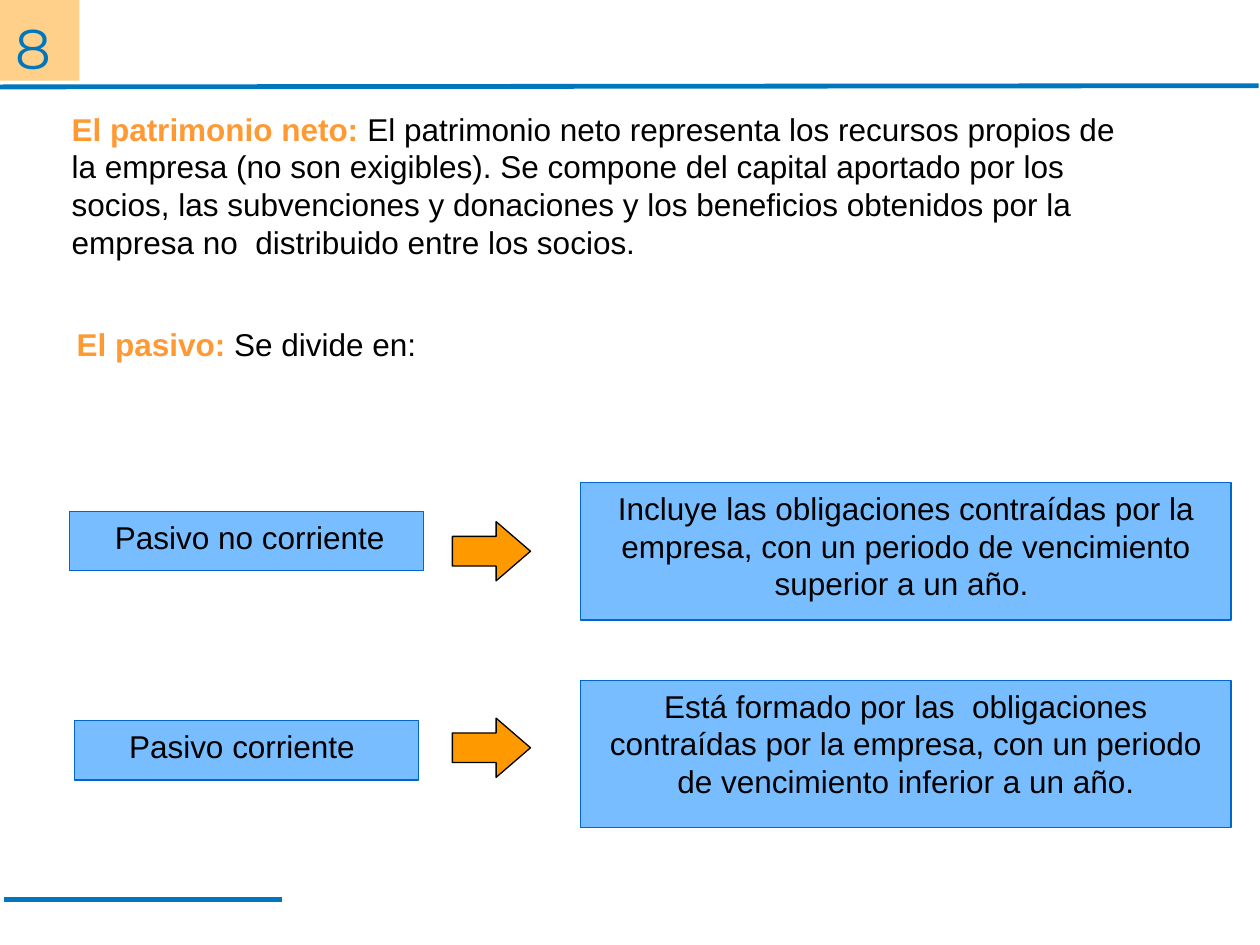
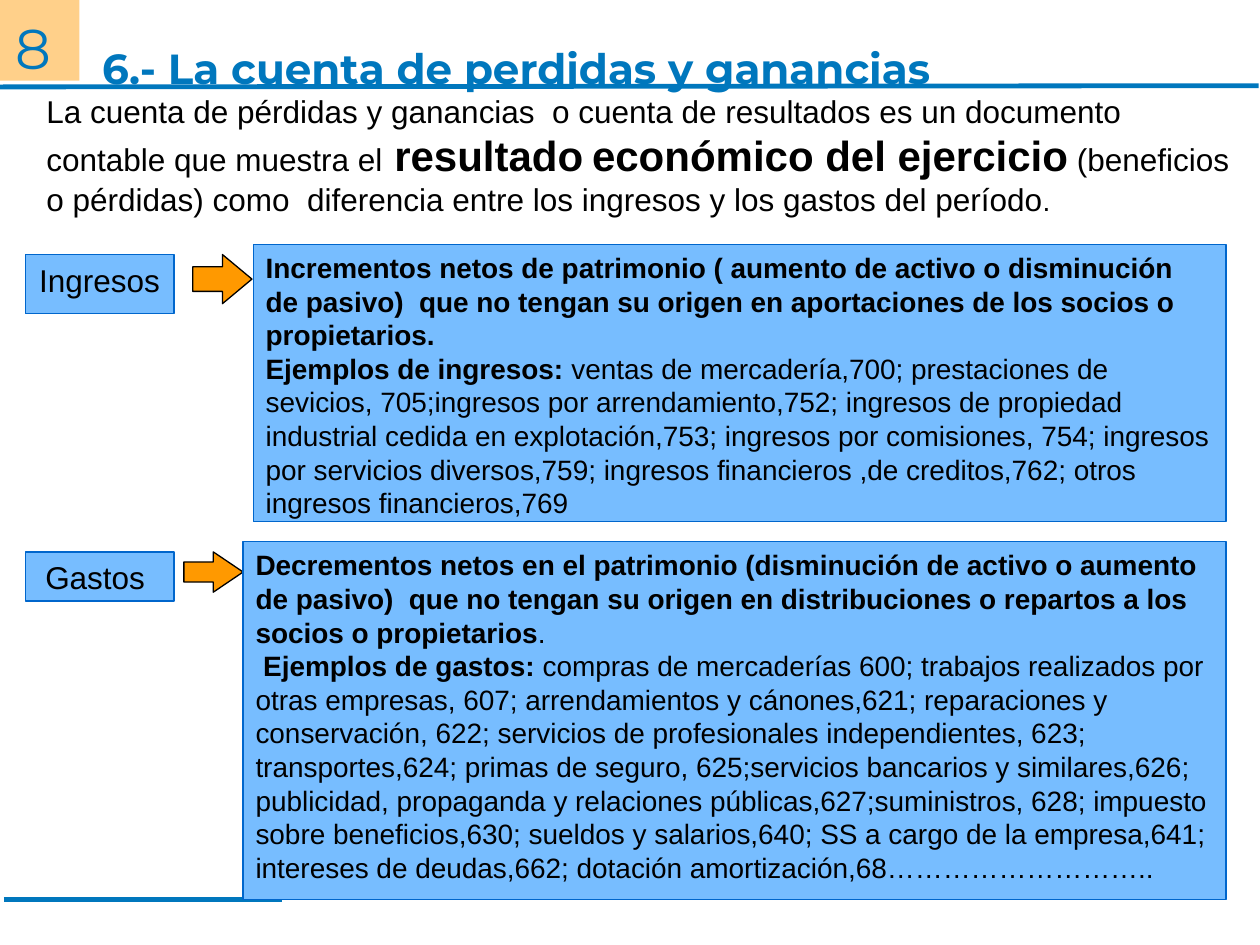
from lxml import etree
from pptx import Presentation
from pptx import util as u
from pptx.dml.color import RGBColor
from pptx.enum import shapes, text
from pptx.oxml import ns

BLUE, ORANGE, ACCENT = "0077BD", "FF9900", "FF9933"
BOX, BORDER, BLACK = "77BDFF", "0066CC", "000000"
LEFT, CENTER = text.PP_ALIGN.LEFT, text.PP_ALIGN.CENTER
PROCESS = shapes.MSO_SHAPE.FLOWCHART_PROCESS
ARROW = shapes.MSO_SHAPE.RIGHT_ARROW


def paint(fill, color):
    fill.solid()
    fill.fore_color.rgb = RGBColor.from_string(color)


def write(sp, paragraphs, align=LEFT, inset=(0.1, 0.05), anchor=text.MSO_ANCHOR.TOP, font="Arial"):
    tf = sp.text_frame
    tf.word_wrap = True
    tf.auto_size = text.MSO_AUTO_SIZE.NONE
    tf.vertical_anchor = anchor
    tf.margin_left = tf.margin_right = u.Inches(inset[0])
    tf.margin_top = tf.margin_bottom = u.Inches(inset[1])
    for i, runs in enumerate(paragraphs):
        p = tf.add_paragraph() if i else tf.paragraphs[0]
        p.alignment = align
        for words, size, bold, color in runs:
            r = p.add_run()
            r.text = words
            r.font.name = font
            r.font.size = u.Pt(size)
            r.font.bold = bold
            paint(r.font.fill, color)


prs = Presentation()
prs.slide_width, prs.slide_height = u.Inches(10), u.Inches(7.5)
liabilities = prs.slides.add_slide(prs.slide_layouts[6])
results = prs.slides.add_slide(prs.slide_layouts[5])

for s in (liabilities, results):
    for x1, y1, x2, y2 in [(-0.01, 0.69, 9.99, 0.68), (0.03, 7.14, 2.24, 7.14)]:
        rule = s.shapes.add_connector(shapes.MSO_CONNECTOR.STRAIGHT, *map(u.Inches, (x1, y1, x2, y2)))
        paint(rule.line.fill, BLUE)
        rule.line.width = u.Pt(2.75)
        etree.SubElement(rule._element.spPr, ns.qn("a:effectLst"))
    badge = s.shapes.add_shape(shapes.MSO_SHAPE.RECTANGLE, 0, 0, u.Inches(0.63), u.Inches(0.64))
    badge.shadow.inherit = False
    badge.line.fill.background()
    paint(badge.fill, ORANGE)
    color = badge._element.spPr.find(".//" + ns.qn("a:srgbClr"))
    etree.SubElement(color, ns.qn("a:alpha"), val="46000")
    write(badge, [[("8", 32, False, BLUE)]], inset=(0.12, 0), font="Montserrat")
    badge.text_frame.paragraphs[0].line_spacing = 1.2

title = results.shapes.title
title.left, title.top, title.width, title.height = map(u.Inches, (0.43, 0.04, 9.57, 0.99))
write(title, [[("6.- La cuenta de perdidas y ganancias", 24, True, BLUE)]],
      inset=(0.38, 0.05), anchor=text.MSO_ANCHOR.MIDDLE, font="Montserrat")

passages = [
    (liabilities, (0.47, 0.86, 8.54, 1.22), 0.01, [
        ("El patrimonio neto: ", 18, True, ACCENT),
        ("El patrimonio neto representa los recursos propios de la empresa (no son exigibles). "
         "Se compone del capital aportado por los socios, las subvenciones y donaciones y los "
         "beneficios obtenidos por la empresa no  distribuido entre los socios.", 18, False, BLACK)]),
    (liabilities, (0.51, 2.57, 9.49, 0.32), 0.01, [
        ("El pasivo: ", 18, True, ACCENT),
        ("Se divide en:", 18, False, BLACK)]),
    (results, (0.27, 0.68, 9.73, 1.1), 0.05, [
        ("La cuenta de pérdidas y ganancias  o cuenta de resultados es un documento contable "
         "que muestra el", 18, False, BLACK),
        (" resultado", 24, True, BLACK),
        (" ", 18, False, BLACK),
        ("económico del ejercicio", 24, True, BLACK),
        (" (beneficios o pérdidas) como  diferencia entre los ingresos y los gastos del período",
         18, False, BLACK),
        (".", 16, False, BLACK)]),
]
for s, place, inset, runs in passages:
    write(s.shapes.add_textbox(*map(u.Inches, place)), [runs], inset=(0.1, inset))

arrows = [
    (liabilities, (3.59, 4.14, 0.62, 0.47), 0.58),
    (liabilities, (3.59, 5.7, 0.62, 0.47), 0.58),
    (results, (1.53, 2.02, 0.47, 0.39), 0.6),
    (results, (1.46, 4.38, 0.47, 0.32), 0.74),
]
for s, place, head in arrows:
    sp = s.shapes.add_shape(ARROW, *map(u.Inches, place))
    sp.shadow.inherit = False
    sp.adjustments[0], sp.adjustments[1] = 0.5, head
    paint(sp.fill, ORANGE)
    paint(sp.line.fill, BLACK)
    sp.line.width = u.Pt(0.75)

boxes = [
    (liabilities, (0.55, 4.06, 2.81, 0.47), CENTER, [
        [(" ", 14, False, BLACK), ("Pasivo no corriente", 18, False, BLACK)]]),
    (liabilities, (4.61, 3.83, 5.16, 1.09), CENTER, [
        [("Incluye las obligaciones contraídas por la empresa, con un periodo de vencimiento "
          "superior a un año. ", 18, False, BLACK)]]),
    (liabilities, (0.59, 5.72, 2.73, 0.47), CENTER, [
        [("Pasivo corriente ", 18, False, BLACK)]]),
    (liabilities, (4.61, 5.4, 5.16, 1.17), CENTER, [
        [("Está formado por las  obligaciones", 18, False, BLACK)],
        [("contraídas por la empresa, con un periodo de vencimiento inferior a un año.",
          18, False, BLACK)]]),
    (results, (0.2, 2.02, 1.18, 0.47), CENTER, [[("Ingresos", 18, False, BLACK)]]),
    (results, (2.01, 1.94, 7.72, 2.2), LEFT, [
        [("Incrementos netos de patrimonio ( aumento de activo o disminución de pasivo)  que no "
          "tengan su origen en aportaciones de los socios o propietarios.", 16, True, BLACK)],
        [("Ejemplos de ingresos: ", 16, True, BLACK),
         ("ventas de mercadería,700; prestaciones de sevicios, 705;ingresos por "
          "arrendamiento,752; ingresos de propiedad industrial cedida en explotación,753; "
          "ingresos por comisiones, 754; ingresos por servicios diversos,759; ingresos "
          "financieros ,de creditos,762; otros ingresos financieros,769", 16, False, BLACK)]]),
    (results, (0.2, 4.38, 1.18, 0.39), CENTER, [[("Gastos ", 18, False, BLACK)]]),
    (results, (1.93, 4.3, 7.8, 2.84), LEFT, [
        [("Decrementos netos en el patrimonio (disminución de activo o aumento de pasivo)  que no "
          "tengan su origen en distribuciones o repartos a los socios o propietarios",
          16, True, BLACK),
         (".", 16, False, BLACK)],
        [(" Ejemplos de gastos:", 16, True, BLACK),
         (" compras de mercaderías 600; trabajos realizados por otras empresas, 607; "
          "arrendamientos y cánones,621; reparaciones y conservación, 622; servicios de "
          "profesionales independientes, 623; transportes,624; primas de seguro, 625;servicios "
          "bancarios y similares,626; publicidad, propaganda y relaciones "
          "públicas,627;suministros, 628; impuesto sobre beneficios,630; sueldos y "
          "salarios,640; SS a cargo de la empresa,641; intereses de deudas,662; dotación "
          "amortización,68………………………..", 16, False, BLACK)]]),
]
for s, place, align, paragraphs in boxes:
    sp = s.shapes.add_shape(PROCESS, *map(u.Inches, place))
    sp.shadow.inherit = False
    paint(sp.fill, BOX)
    paint(sp.line.fill, BORDER)
    sp.line.width = u.Pt(0.75)
    write(sp, paragraphs, align)

prs.save("out.pptx")
